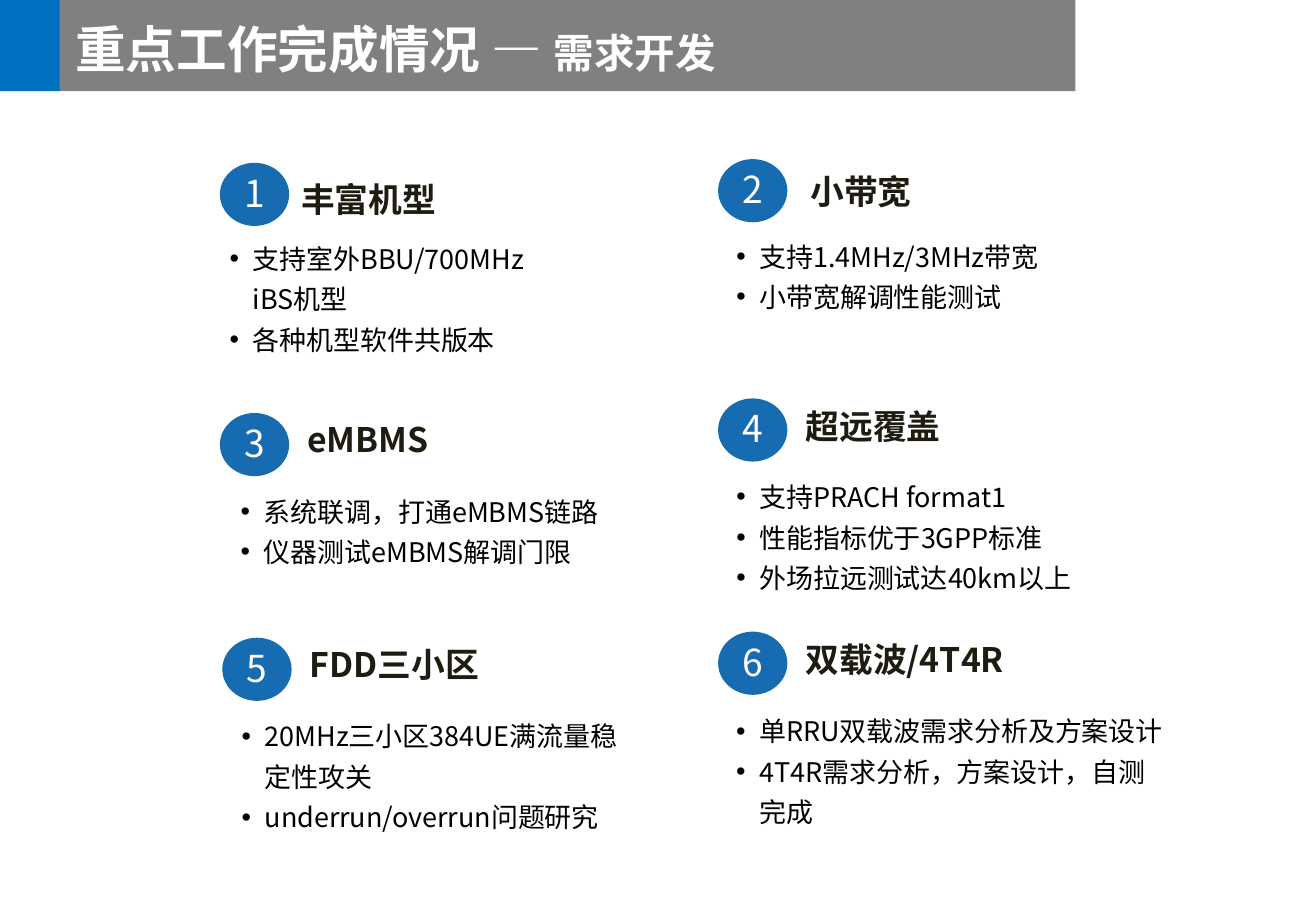
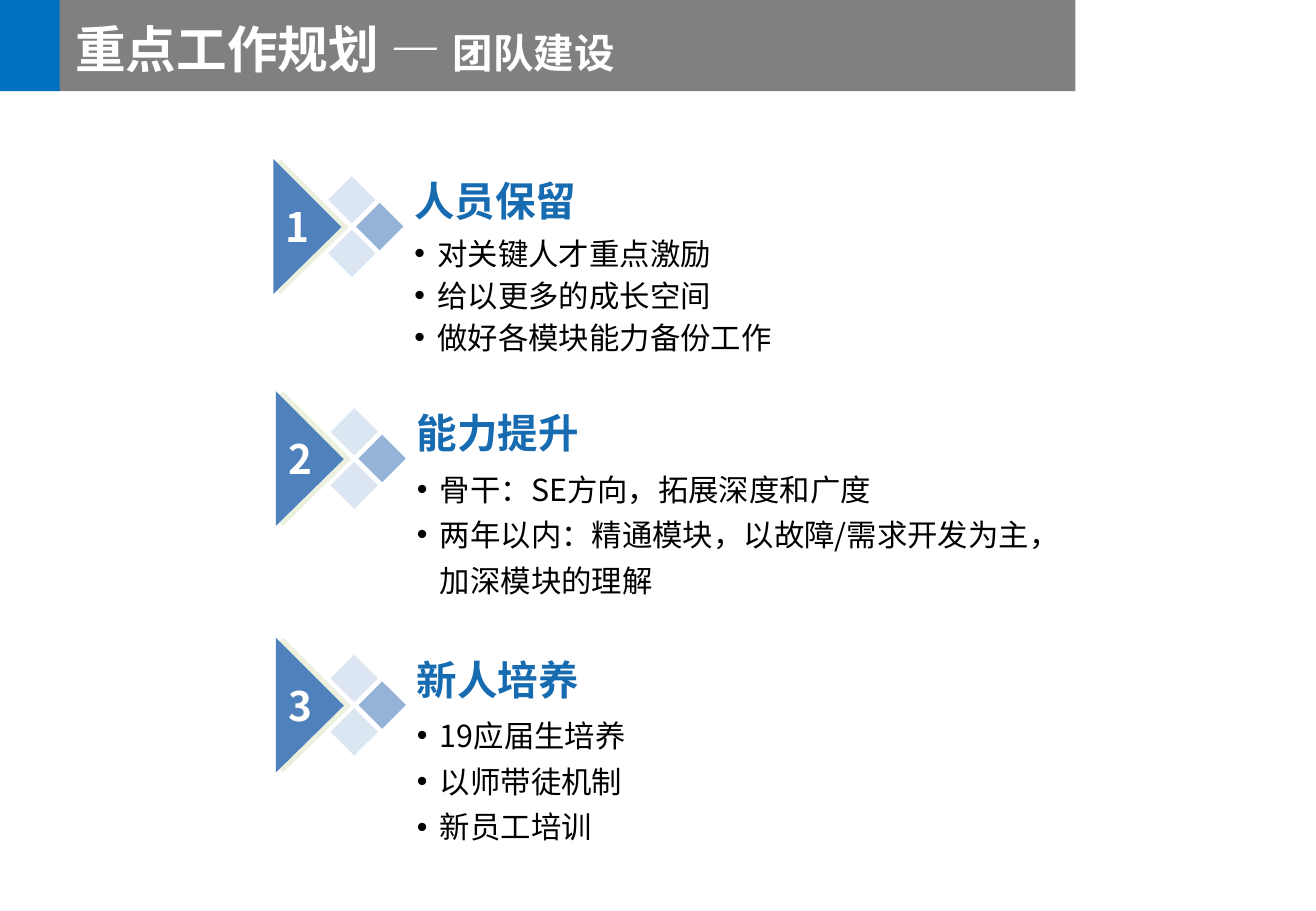
"""Build two work report slides on a shared grey title band."""
from dataclasses import dataclass

import pptx
import pptx.dml.color
import pptx.enum.shapes
import pptx.enum.text
import pptx.oxml.ns
import pptx.util
from lxml import etree

Inches = pptx.util.Inches
Pt = pptx.util.Pt
Form = pptx.enum.shapes.MSO_SHAPE
Align = pptx.enum.text.PP_ALIGN
Anchor = pptx.enum.text.MSO_ANCHOR
Fit = pptx.enum.text.MSO_AUTO_SIZE
qn = pptx.oxml.ns.qn


@dataclass(frozen=True)
class Theme:
    font: str = "Noto Sans CJK SC"
    white: str = "FFFFFF"
    black: str = "000000"
    band: str = "808080"
    block: str = "0070C0"
    blue: str = "176BB0"
    dark: str = "1E1C11"
    arrow: str = "4F81BD"
    edge: str = "EBF1DE"
    pale: str = "DCE6F2"
    mid: str = "95B3D7"
    title: int = 30
    topic: int = 24
    badge: int = 22
    head: int = 20
    small: int = 16
    large: int = 18


THEME = Theme()

NEEDS = [
    ("丰富机型", (1.81, 1.34), (2.38, 1.42), (1.79, 1.88, 2.78, 1.11),
     ["支持室外BBU/700MHz iBS机型", "各种机型软件共版本"]),
    ("小带宽", (5.91, 1.31), (6.57, 1.36), (5.96, 1.86, 3.23, 0.74),
     ["支持1.4MHz/3MHz带宽", "小带宽解调性能测试"]),
    ("eMBMS", (1.81, 3.4), (2.43, 3.4), (1.88, 3.96, 3.35, 0.77),
     ["系统联调，打通eMBMS链路", "仪器测试eMBMS解调门限"]),
    ("超远覆盖", (5.91, 3.28), (6.53, 3.29), (5.96, 3.84, 3.15, 1.11),
     ["支持PRACH format1", "性能指标优于3GPP标准", "外场拉远测试达40km以上"]),
    ("FDD三小区", (1.83, 5.25), (2.45, 5.25), (1.89, 5.81, 3.45, 1.11),
     ["20MHz三小区384UE满流量稳定性攻关", "underrun/overrun问题研究"]),
    ("双载波/4T4R", (5.91, 5.2), (6.53, 5.21), (5.96, 5.77, 3.78, 1.11),
     ["单RRU双载波需求分析及方案设计", "4T4R需求分析，方案设计，自测完成"]),
]

PLANS = [
    ("人员保留", 2.25, 1.31, 1.15,
     ["对关键人才重点激励", "给以更多的成长空间", "做好各模块能力备份工作"]),
    ("能力提升", 2.27, 3.22, 1.25,
     ["骨干：SE方向，拓展深度和广度",
      "两年以内：精通模块，以故障/需求开发为主，加深模块的理解"]),
    ("新人培养", 2.27, 5.25, 1.25,
     ["19应届生培养", "以师带徒机制", "新员工培训"]),
]


def apply(item, vals):
    for key, val in vals.items():
        setattr(item, key, val)


def place(shape, box):
    names = ("left", "top", "width", "height")
    apply(shape, dict(zip(names, map(Inches, box))))


def frame(shape, anchor=Anchor.TOP, pads=(0.1, 0.05, 0.1, 0.05)):
    names = ("margin_left", "margin_top", "margin_right", "margin_bottom")
    vals = dict(zip(names, map(Inches, pads)))
    vals.update(word_wrap=True, auto_size=Fit.NONE, vertical_anchor=anchor)
    apply(shape.text_frame, vals)
    return shape.text_frame


def write(para, text, size, color, bold=False):
    run = para.add_run()
    run.text = text
    apply(run.font, {"size": Pt(size), "bold": bold, "name": THEME.font})
    run.font.color.rgb = pptx.dml.color.RGBColor.from_string(color)
    props = run.font._element
    etree.SubElement(props, qn("a:ea"), typeface=THEME.font)


def paint(shape, color):
    shape.shadow.inherit = False
    shape.fill.solid()
    shape.fill.fore_color.rgb = pptx.dml.color.RGBColor.from_string(color)
    shape.line.fill.background()
    return shape


def draw(slide, form, box, color):
    return paint(slide.shapes.add_shape(form, *map(Inches, box)), color)


def outline(slide, points, color):
    spots = [(Inches(x), Inches(y)) for x, y in points]
    pen = slide.shapes.build_freeform(*spots[0])
    pen.add_line_segments(spots[1:], close=True)
    return paint(pen.convert_to_shape(), color)


def label(shape, text, size, pads, bold=False, lines=1.0):
    para = frame(shape, Anchor.MIDDLE, pads).paragraphs[0]
    apply(para, {"alignment": Align.CENTER, "line_spacing": lines})
    write(para, text, size, THEME.white, bold)


def heading(slide, box, text, size, color, anchor=Anchor.TOP):
    shape = slide.shapes.add_textbox(*map(Inches, box))
    write(frame(shape, anchor).paragraphs[0], text, size, color, True)


def bullets(slide, slots, box, items, size, lines):
    shape = slots.pop(0) if slots else slide.shapes.add_textbox(0, 0, 0, 0)
    place(shape, box)
    text = frame(shape)
    for n, item in enumerate(items):
        para = text.add_paragraph() if n else text.paragraphs[0]
        apply(para, {"alignment": Align.LEFT, "line_spacing": lines,
                     "space_before": Pt(0), "space_after": Pt(0)})
        props = para._p.get_or_add_pPr()
        props.set("marL", str(Inches(0.19)))
        props.set("indent", str(-Inches(0.19)))
        etree.SubElement(props, qn("a:buFont"), typeface="Arial")
        etree.SubElement(props, qn("a:buChar"), char="•")
        write(para, item, size, THEME.black)


def start(deck, title, topic):
    slide = deck.slides.add_slide(deck.slide_layouts.get_by_name("Comparison"))
    draw(slide, Form.RECTANGLE, (0.48, 0, 8.37, 0.75), THEME.band)
    draw(slide, Form.RECTANGLE, (0, 0, 0.49, 0.75), THEME.block)
    head = slide.shapes.title
    slide.shapes._spTree.append(head._element)
    place(head, (0.52, 0.05, 7.34, 0.7))
    para = frame(head, Anchor.MIDDLE, (0.1,) * 4).paragraphs[0]
    para.alignment = Align.LEFT
    write(para, title + " — ", THEME.title, THEME.white, True)
    write(para, topic, THEME.topic, THEME.white, True)
    return slide, list(slide.placeholders)[1:]


def finish(slots):
    for slot in slots:
        slot._element.getparent().remove(slot._element)


def marker(slide, x, y, text):
    for dx, dy, color in ((0.45, 0.14, THEME.pale), (0.45, 0.58, THEME.pale),
                          (0.68, 0.36, THEME.mid)):
        draw(slide, Form.DIAMOND, (x + dx, y + dy, 0.39, 0.39), color)
    edge = [(0.06, 0), (0.62, 0.56), (0.06, 1.11),
            (0.03, 1.08), (0.56, 0.56), (0.03, 0.03)]
    arrow = [(0, 0), (0.56, 0.56), (0, 1.11)]
    outline(slide, [(x + dx, y + dy) for dx, dy in edge], THEME.edge)
    tip = outline(slide, [(x + dx, y + dy) for dx, dy in arrow], THEME.arrow)
    label(tip, text, THEME.topic, (0, 0, 0.16, 0), True)


def needs(deck):
    slide, slots = start(deck, "重点工作完成情况", "需求开发")
    for n, (name, spot, head, box, items) in enumerate(NEEDS, 1):
        badge = draw(slide, Form.OVAL, (*spot, 0.57, 0.52), THEME.blue)
        label(badge, str(n), THEME.badge, (0, 0.06, 0, 0), lines=0.7)
        heading(slide, (*head, 2.15, 0.44), name, THEME.head, THEME.dark)
        bullets(slide, slots, box, items, THEME.small, 1.25)
    finish(slots)


def plans(deck):
    slide, slots = start(deck, "重点工作规划", "团队建设")
    for n, (name, x, y, lines, items) in enumerate(PLANS, 1):
        marker(slide, x, y, str(n))
        bullets(slide, slots, (x + 1.06, y + 0.53, 5.51, 1.2), items,
                THEME.large, lines)
        heading(slide, (x + 1.06, y, 3.83, 0.59), name, THEME.topic,
                THEME.blue, Anchor.BOTTOM)
    finish(slots)


def main():
    deck = pptx.Presentation()
    apply(deck, {"slide_width": Inches(10.83), "slide_height": Inches(7.5)})
    needs(deck)
    plans(deck)
    deck.save("out.pptx")


main()
